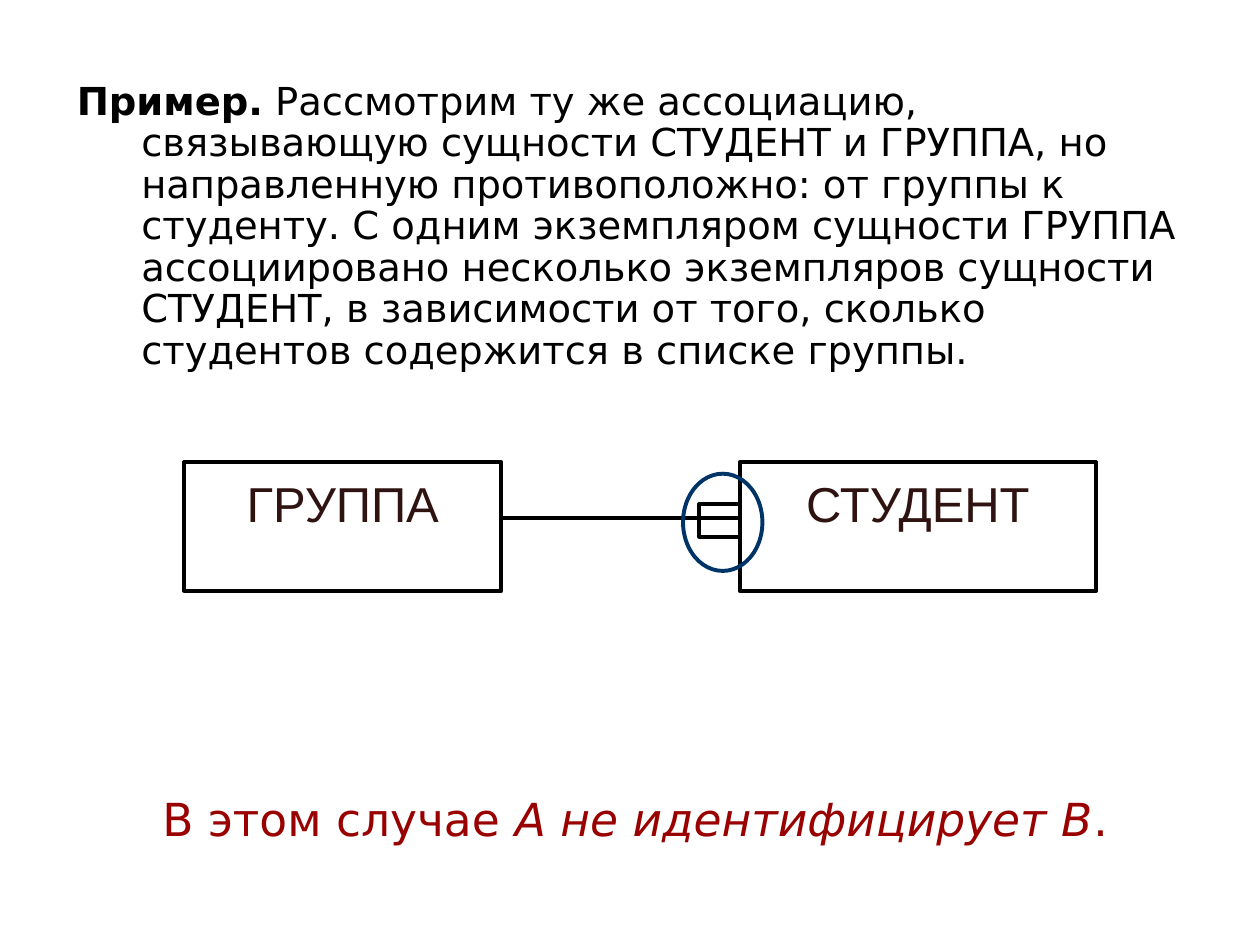
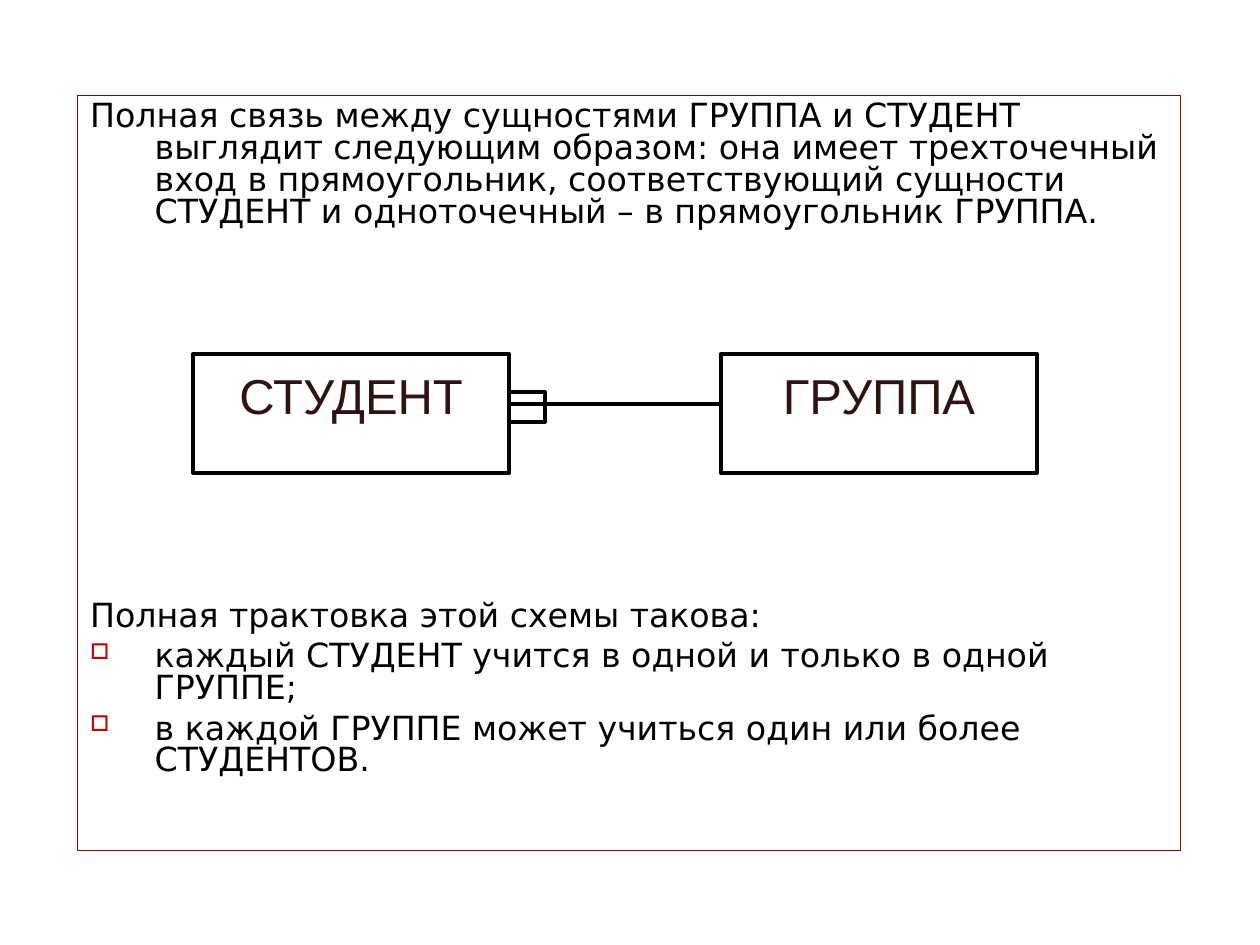
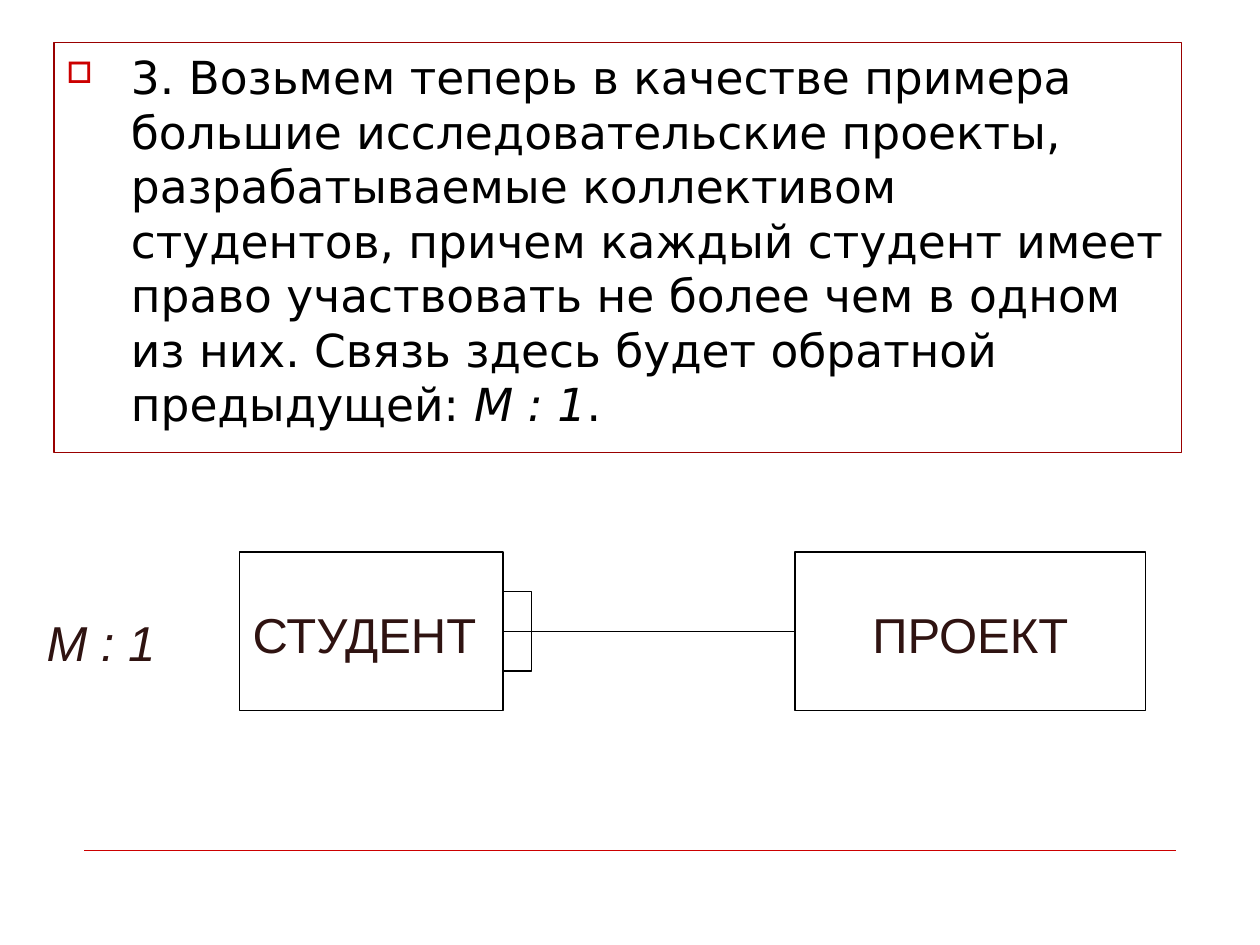
from lxml.etree import SubElement
from pptx import Presentation
from pptx.dml.color import RGBColor
from pptx.enum.shapes import MSO_CONNECTOR, MSO_SHAPE
from pptx.enum.text import MSO_ANCHOR as ANCHOR, PP_ALIGN as ALIGN
from pptx.oxml.ns import qn
from pptx.util import Cm, Pt

COLORS = {
    "white": "FFFFFF",
    "black": "000000",
    "entity": "2F1311",
    "frame": "990000",
    "accent": "CC0000",
    "highlight": "003366",
}
BODY_FONT, ENTITY_FONT = "DejaVu Sans", "Arial"
HANGING = Cm(1.3)


def rgb(name):
    return RGBColor.from_string(COLORS[name])


class Deck:
    """Holds the common style and the current slide."""

    def __init__(self):
        self.prs = Presentation()
        self.prs.slide_width, self.prs.slide_height = Cm(25.4), Cm(19.05)
        self.slide = None

    def new_slide(self, footer=True):
        self.slide = self.prs.slides.add_slide(self.prs.slide_layouts[6])
        if footer:
            self.line(1.7, 23.7, 17.15, "accent", 0.25)

    def line(self, x1, x2, y, color="black", width=2.25):
        cn = self.slide.shapes.add_connector(
            MSO_CONNECTOR.STRAIGHT, Cm(x1), Cm(y), Cm(x2), Cm(y))
        cn.line.color.rgb = rgb(color)
        cn.line.width = Pt(width)
        SubElement(cn._element.spPr, qn("a:effectLst"))

    def shape(self, box, color="black", width=2.25, fill=None,
              kind=MSO_SHAPE.RECTANGLE):
        sp = self.slide.shapes.add_shape(kind, *map(Cm, box))
        sp.shadow.inherit = False
        if fill:
            sp.fill.solid()
            sp.fill.fore_color.rgb = rgb(fill)
        else:
            sp.fill.background()
        sp.line.color.rgb = rgb(color)
        sp.line.width = Pt(width)
        return sp

    def frame(self, box):
        return self.shape(box, "frame", 0.75, "white")

    def text_box(self, box):
        return self.slide.shapes.add_textbox(*map(Cm, box))

    def setup(self, sp, anchor=ANCHOR.TOP, top=0.13):
        tf = sp.text_frame
        tf.word_wrap = True
        tf.vertical_anchor = anchor
        tf.margin_left = tf.margin_right = Cm(0.25)
        tf.margin_top, tf.margin_bottom = Cm(top), Cm(0.13)
        return tf

    def runs(self, p, parts, size, color="black", font=BODY_FONT):
        """Each part is a text, or a pair of text and style letters b, i."""
        for part in parts:
            text, style = (part, "") if isinstance(part, str) else part
            r = p.add_run()
            r.text = text
            r.font.name, r.font.size = font, Pt(size)
            r.font.color.rgb = rgb(color)
            r.font.bold, r.font.italic = "b" in style, "i" in style

    def body(self, sp, paragraphs, size, spacing=1.0, color="black",
             align=ALIGN.LEFT):
        """Each paragraph is a pair: has a bullet, list of parts."""
        tf = self.setup(sp)
        for i, (bullet, parts) in enumerate(paragraphs):
            p = tf.add_paragraph() if i else tf.paragraphs[0]
            pPr = p._p.get_or_add_pPr()
            if align == ALIGN.LEFT:
                pPr.set("marL", str(HANGING))
                pPr.set("indent", str(-HANGING))
            if bullet:
                clr = SubElement(pPr, qn("a:buClr"))
                SubElement(clr, qn("a:srgbClr"), val=COLORS["accent"])
                SubElement(pPr, qn("a:buSzPct"), val="65000")
                SubElement(pPr, qn("a:buChar"), char="□")
            p.alignment = align
            p.line_spacing = spacing
            if i:
                p.space_before = Pt(size / 4)
            self.runs(p, parts, size, color)

    def label(self, sp, part, anchor, align=ALIGN.CENTER):
        p = self.setup(sp, anchor, top=0.22).paragraphs[0]
        p.alignment = align
        self.runs(p, [part], 28, "entity", ENTITY_FONT)

    def relation(self, left, right, y, height, link_y, marker,
                 many_right=False, width=2.25, anchor=ANCHOR.TOP):
        """Two entities (name, x, w) joined by a link with a "many" marker (w, h, drop)."""
        for name, x, w in (left, right):
            sp = self.shape((x, y, w, height), width=width, fill="white")
            self.label(sp, name, anchor)
        start, end = left[1] + left[2], right[1]
        self.line(start, end, link_y, width=width)
        mw, mh, drop = marker
        mx = end - mw if many_right else start
        self.shape((mx, link_y - mh / 2 + drop, mw, mh), width=width)


def main():
    deck = Deck()

    # Slide 1: from group to student
    deck.new_slide(footer=False)
    deck.body(deck.text_box((1.3, 1.52, 23.01, 6.2)), [(False, [
        ("Пример.", "b"),
        " Рассмотрим ту же ассоциацию, связывающую сущности СТУДЕНТ и ГРУППА, "
        "но направленную противоположно: от группы к студенту. С одним "
        "экземпляром сущности ГРУППА ассоциировано несколько экземпляров "
        "сущности СТУДЕНТ, в зависимости от того, сколько студентов "
        "содержится в списке группы.",
    ])], 22, 0.9)
    deck.relation(("ГРУППА", 3.71, 6.4), ("СТУДЕНТ", 14.91, 7.19), 9.32, 2.59,
                  10.44, (0.81, 0.66, 0.05), many_right=True)
    deck.shape((13.77, 9.55, 1.6, 1.96), "highlight", kind=MSO_SHAPE.OVAL)
    deck.body(deck.text_box((1.3, 15.95, 23.01, 2.16)), [(False, [
        "В этом случае ", ("А не идентифицирует В", "i"), ".",
    ])], 26, 0.9, "frame", ALIGN.CENTER)

    # Slide 2: the full relation
    deck.new_slide()
    deck.body(deck.frame((1.57, 1.93, 22.23, 15.21)), [(False, [
        "Полная связь между сущностями ГРУППА и СТУДЕНТ выглядит следующим "
        "образом: она имеет трехточечный вход в прямоугольник, "
        "соответствующий сущности СТУДЕНТ и одноточечный – в прямоугольник "
        "ГРУППА.",
    ])], 19, 0.8)
    deck.relation(("СТУДЕНТ", 3.89, 6.38), ("ГРУППА", 14.53, 6.38), 7.14, 2.39,
                  8.15, (0.71, 0.61, 0.05))
    deck.body(deck.text_box((1.57, 12.01, 22.23, 4.5)), [
        (False, ["Полная трактовка этой схемы такова:"]),
        (True, ["каждый СТУДЕНТ учится в одной и только в одной ГРУППЕ;"]),
        (True, ["в каждой ГРУППЕ может учиться один или более СТУДЕНТОВ."]),
    ], 19, 0.8)

    # Slide 3: many students to one project
    deck.new_slide()
    deck.body(deck.frame((1.09, 0.86, 22.73, 8.26)), [(True, [
        "3. Возьмем теперь в качестве примера большие исследовательские "
        "проекты, разрабатываемые коллективом студентов, причем каждый "
        "студент имеет право участвовать не более чем в одном из них. Связь "
        "здесь будет обратной предыдущей: ",
        ("М : 1", "i"), ".",
    ])], 26)
    deck.label(deck.text_box((0.69, 11.61, 2.95, 2.57)), ("М : 1", "i"),
               ANCHOR.MIDDLE, ALIGN.LEFT)
    deck.relation(("СТУДЕНТ ", 4.83, 5.31), ("ПРОЕКТ", 16.03, 7.06), 11.13, 3.2,
                  12.73, (0.58, 1.6, 0), width=0.75, anchor=ANCHOR.MIDDLE)

    deck.prs.save("out.pptx")


if __name__ == "__main__":
    main()
